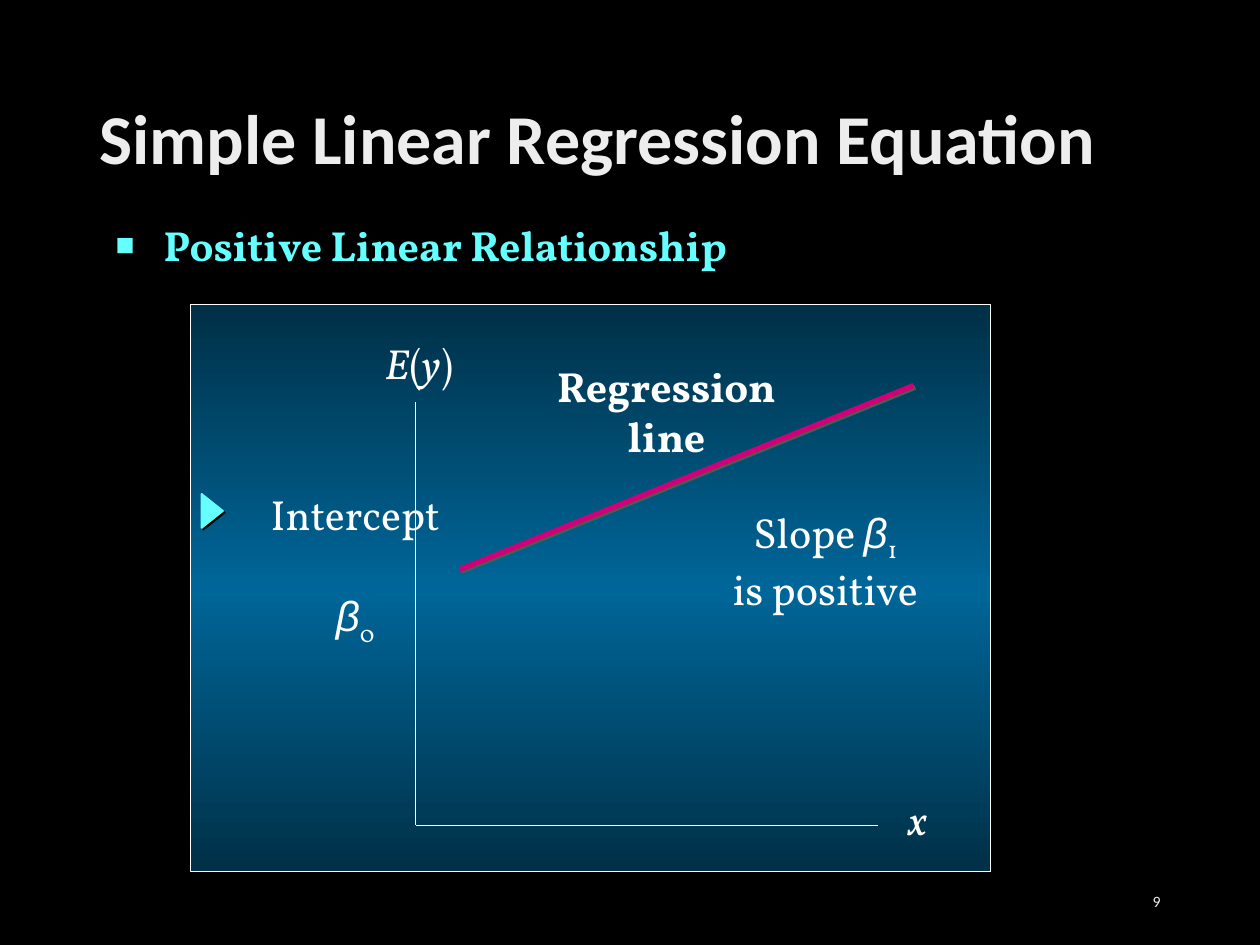
from lxml.etree import SubElement
from pptx import Presentation
from pptx.dml.color import RGBColor
from pptx.enum.shapes import MSO_CONNECTOR as Connector, MSO_SHAPE as Shape
from pptx.enum.text import MSO_ANCHOR as Anchor, PP_ALIGN as Align
from pptx.oxml.ns import qn
from pptx.util import Inches, Pt

WHITE, BLACK, CYAN = "FFFFFF", "000000", "66FFFF"
LIGHT, DEEP, BLUE = "EDEDED", "003047", "006699"
MAGENTA, SHADOW = "D20078", "455F51"
SERIF, SANS, SYMBOL = "Vollkorn", "Calibri", "Arial"

PANEL = (1.51, 2.42, 6.35, 4.5)
ORIGIN = (3.3, 6.55)


def rgb(value):
    return RGBColor.from_string(value)


def inches(values):
    return [Inches(value) for value in values]


def add_node(parent, tag, **attributes):
    return SubElement(parent, qn(tag), {key: str(value) for key, value in attributes.items()})


def set_effects(shape, shadow=None):
    """Replace the theme shadow by none, or by a small hard one."""
    effects = add_node(shape._element.spPr, "a:effectLst")
    if shadow:
        outer = add_node(effects, "a:outerShdw", blurRad=0, dist=Pt(1.4), dir=45 * 60000,
                         algn="ctr", rotWithShape=0)
        add_node(outer, "a:srgbClr", val=shadow)


def add_run(paragraph, text, size=24, font=SERIF, color=WHITE, bold=False, italic=False,
            subscript=False):
    run = paragraph.add_run()
    run.text = text
    run.font.size = Pt(size)
    run.font.name = font
    run.font.bold = bold
    run.font.italic = italic
    run.font.color.rgb = rgb(color)
    if subscript:
        run._r.get_or_add_rPr().set("baseline", "-25000")


def add_text(slide, box, lines, align=Align.CENTER, wrap=False, anchor=Anchor.TOP):
    """Add one paragraph per line; a line is a list of (text, run format) pairs."""
    frame = slide.shapes.add_textbox(*inches(box)).text_frame
    frame.word_wrap = wrap
    frame.vertical_anchor = anchor
    for index, line in enumerate(lines):
        paragraph = frame.add_paragraph() if index else frame.paragraphs[0]
        paragraph.alignment = align
        for text, style in line:
            add_run(paragraph, text, **style)
    return frame


def beta(index):
    return [("β", {"font": SYMBOL, "italic": True}), (index, {"subscript": True})]


def add_bullet(paragraph):
    properties = paragraph._p.get_or_add_pPr()
    properties.set("marL", str(Inches(0.38)))
    properties.set("indent", str(Inches(-0.38)))
    add_node(add_node(properties, "a:buClr"), "a:srgbClr", val=CYAN)
    add_node(properties, "a:buSzPct", val=75000)
    add_node(properties, "a:buFont", typeface=SYMBOL)
    add_node(properties, "a:buChar", char="■")


def add_line(slide, start, end, color=WHITE, width=0.5, shadow=None):
    line = slide.shapes.add_connector(Connector.STRAIGHT, *inches(start + end))
    line.line.color.rgb = rgb(color)
    line.line.width = Pt(width)
    set_effects(line, shadow)


def add_panel(slide):
    panel = slide.shapes.add_shape(Shape.RECTANGLE, *inches(PANEL))
    panel.fill.gradient()
    panel.line.color.rgb = rgb(WHITE)
    panel.line.width = Pt(0.5)
    panel.fill.gradient_angle = 270
    stops = panel._element.spPr.find(qn("a:gradFill")).find(qn("a:gsLst"))
    stops.clear()
    for share, color in ((0, DEEP), (50, BLUE), (100, DEEP)):
        stop = add_node(stops, "a:gs", pos=share * 1000)
        add_node(stop, "a:srgbClr", val=color)
    set_effects(panel)


def add_marker(slide):
    marker = slide.shapes.add_shape(Shape.ISOSCELES_TRIANGLE, *inches((1.55, 3.97, 0.27, 0.17)))
    marker.rotation = 90
    marker.fill.solid()
    marker.fill.fore_color.rgb = rgb(CYAN)
    marker.line.color.rgb = rgb(CYAN)
    marker.line.width = Pt(1)
    set_effects(marker, BLACK)


def set_title(slide, text):
    title = slide.shapes.title
    title.left, title.top, title.width, title.height = inches((0.69, 0.4, 8.62, 1.45))
    title.text_frame.vertical_anchor = Anchor.MIDDLE
    paragraph = title.text_frame.paragraphs[0]
    paragraph.alignment = Align.LEFT
    paragraph.line_spacing = 0.9
    add_run(paragraph, text, size=40, font=SANS, color=LIGHT, bold=True)


def add_graph(slide):
    x, y = ORIGIN
    add_panel(slide)
    add_line(slide, (x, 3.19), ORIGIN)
    add_line(slide, ORIGIN, (6.97, y))
    italic = {"italic": True}
    add_text(slide, (2.93, 2.63, 0.79, 0.5), [[("E", italic), ("(", {}), ("y", italic), (")", {})]])
    add_text(slide, (7.1, 6.25, 0.37, 0.5), [[("x", italic)]])
    add_line(slide, (3.65, 4.52), (7.25, 3.06), MAGENTA, 3, SHADOW)
    add_text(slide, (5.7, 3.97, 1.7, 0.9), [[("Slope ", {})] + beta("1"), [("is positive", {})]])
    add_text(slide, (4.24, 2.81, 2.1, 0.9), [[("Regression line", {"bold": True})]], wrap=True)
    intercept = add_text(slide, (2.03, 3.83, 1.58, 1.3), [[("Intercept", {})], beta("0")])
    intercept.paragraphs[1].space_before = Pt(29)
    add_marker(slide)


def main():
    presentation = Presentation()
    presentation.slide_width, presentation.slide_height = inches((10, 7.5))
    slide = presentation.slides.add_slide(presentation.slide_layouts[5])
    slide.background.fill.solid()
    slide.background.fill.fore_color.rgb = rgb(BLACK)
    set_title(slide, "Simple Linear Regression Equation")
    add_text(slide, (7.06, 6.95, 2.25, 0.4), [[("9", {"size": 9, "font": SANS, "color": LIGHT})]],
             Align.RIGHT, wrap=True, anchor=Anchor.MIDDLE)
    heading = [("Positive Linear Relationship", {"color": CYAN, "bold": True})]
    body = add_text(slide, (0.82, 1.69, 8.43, 0.5), [heading], Align.LEFT, wrap=True)
    add_bullet(body.paragraphs[0])
    add_graph(slide)
    presentation.save("out.pptx")


if __name__ == "__main__":
    main()
